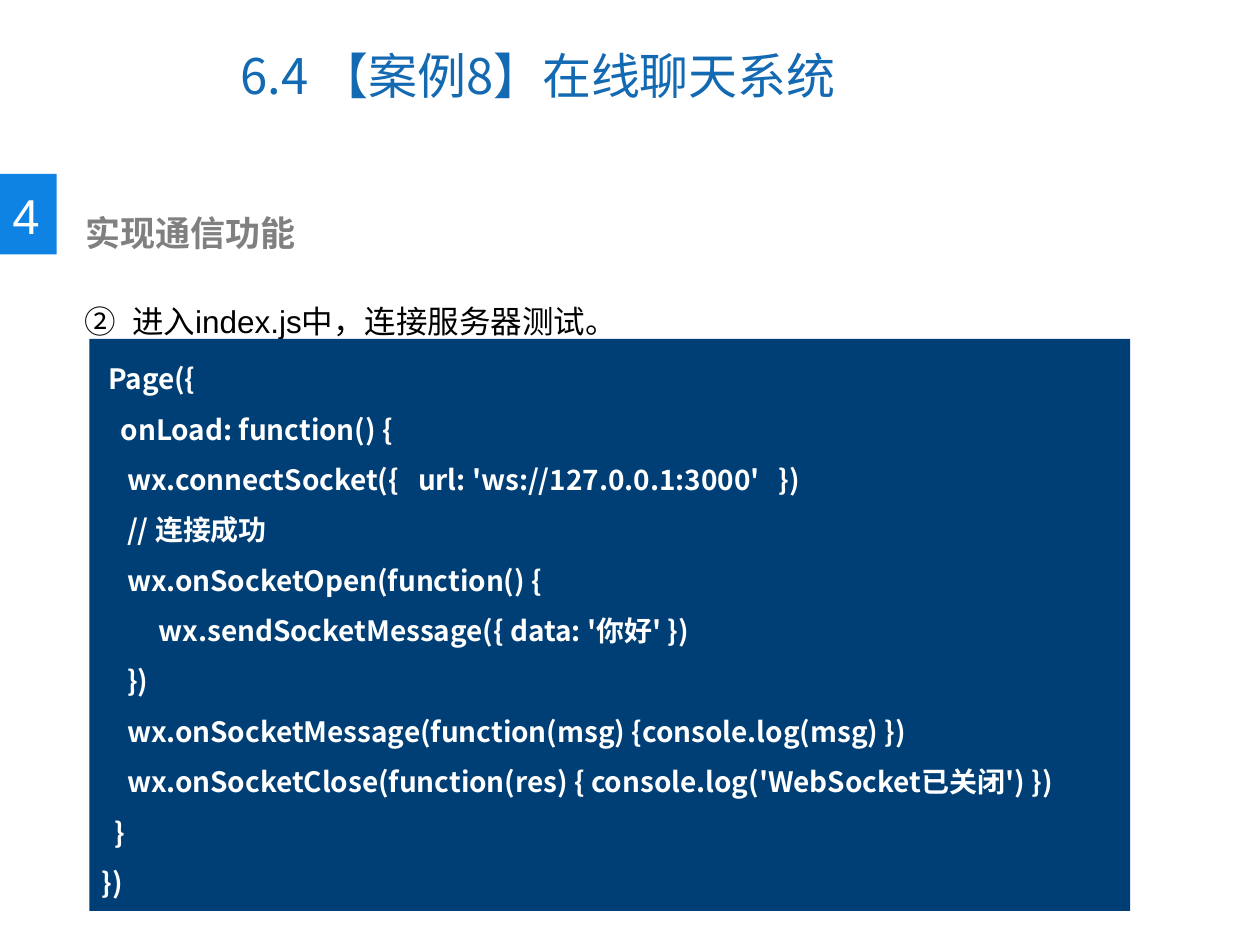
from lxml import etree
from pptx import Presentation
from pptx.dml.color import RGBColor
from pptx.enum.shapes import MSO_SHAPE
from pptx.enum.text import MSO_ANCHOR
from pptx.oxml.ns import qn
from pptx.util import Inches, Pt

RECTANGLE = MSO_SHAPE.RECTANGLE
TOP = MSO_ANCHOR.TOP
MIDDLE = MSO_ANCHOR.MIDDLE

TITLE_BLUE = RGBColor(0x13, 0x69, 0xB2)
BADGE_BLUE = RGBColor(0x0F, 0x83, 0xE3)
CODE_NAVY = RGBColor(0x00, 0x3F, 0x75)
GRAY = RGBColor(0x80, 0x80, 0x80)
BLACK = RGBColor(0, 0, 0)
WHITE = RGBColor(0xFF, 0xFF, 0xFF)

LATIN_FONT = "Arial"
CHINESE_FONT = "Noto Sans CJK SC"

CODE = """ Page({
   onLoad: function() {
    wx.connectSocket({   url: 'ws://127.0.0.1:3000'   })
    // 连接成功
    wx.onSocketOpen(function() {
         wx.sendSocketMessage({ data: '你好' })
    })
    wx.onSocketMessage(function(msg) {console.log(msg) })
    wx.onSocketClose(function(res) { console.log('WebSocket已关闭') })
  }
})"""


def write_text(shape, text, size, color, font=LATIN_FONT, bold=False,
               spacing=1, anchor=TOP, wrap=True, number=None):
    frame = shape.text_frame
    frame.word_wrap = wrap
    frame.vertical_anchor = anchor
    for index, line in enumerate(text.split("\n")):
        paragraph = frame.paragraphs[0] if index == 0 else frame.add_paragraph()
        paragraph.line_spacing = spacing
        if number:
            add_circled_number(paragraph, number)
        run = paragraph.add_run()
        run.text = line
        run.font.size = Pt(size)
        run.font.bold = bold
        run.font.color.rgb = color
        run.font.name = font
        properties = run.font._element
        etree.SubElement(properties, qn("a:ea"), typeface=CHINESE_FONT)


def add_circled_number(paragraph, number):
    properties = paragraph._p.get_or_add_pPr()
    indent = Inches(0.38)
    properties.set("marL", str(indent))
    properties.set("indent", str(-indent))
    etree.SubElement(properties, qn("a:buFont"), typeface=CHINESE_FONT)
    etree.SubElement(properties, qn("a:buAutoNum"),
                     type="circleNumDbPlain", startAt=str(number))


def add_text(slide, left, top, width, height, text, **text_format):
    box = slide.shapes.add_textbox(
        Inches(left), Inches(top), Inches(width), Inches(height))
    write_text(box, text, **text_format)
    return box


def add_rectangle(slide, left, top, width, height, color):
    rectangle = slide.shapes.add_shape(
        RECTANGLE, Inches(left), Inches(top), Inches(width), Inches(height))
    rectangle.shadow.inherit = False
    rectangle.fill.solid()
    rectangle.fill.fore_color.rgb = color
    rectangle.line.fill.background()
    return rectangle


def add_code_panel(slide, left, top, width, height, code):
    add_rectangle(slide, left, top, width, height, CODE_NAVY)
    add_text(slide, left, top, width, height, code, size=16, color=WHITE,
             font=CHINESE_FONT, bold=True, spacing=1.5)


def main():
    presentation = Presentation()
    presentation.slide_width = Inches(10)
    presentation.slide_height = Inches(7.5)
    slide = presentation.slides.add_slide(presentation.slide_layouts[6])

    add_text(slide, 1.81, 0.17, 5.4, 0.85, "6.4 【案例8】在线聊天系统",
             size=28, color=TITLE_BLUE, font=CHINESE_FONT, anchor=MIDDLE)
    add_rectangle(slide, 0, 1.38, 0.45, 0.64, BADGE_BLUE)
    add_text(slide, 0, 1.42, 0.42, 0.57, "4", size=28, color=WHITE, wrap=False)
    heading = add_text(slide, 0.47, 1.63, 5.14, 0.44, "实现通信功能",
                       size=20, color=GRAY, bold=True)
    heading.text_frame.margin_left = Inches(0.21)
    add_text(slide, 0.57, 2.05, 7.84, 0.61, "进入index.js中，连接服务器测试。",
             size=18, color=BLACK, spacing=2.0, number=2)
    add_code_panel(slide, 0.71, 2.69, 8.26, 4.54, CODE)

    presentation.save("out.pptx")


if __name__ == "__main__":
    main()
